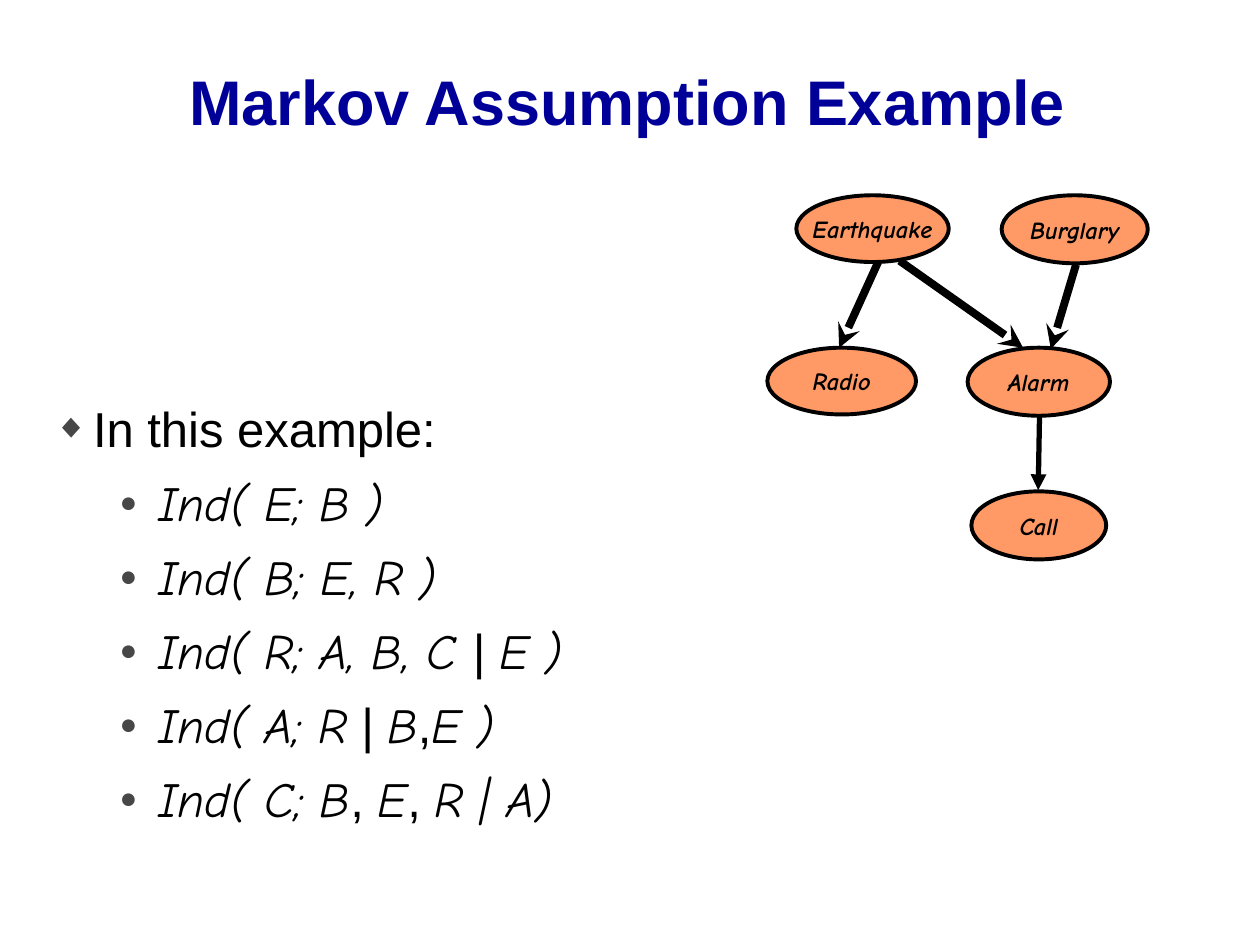
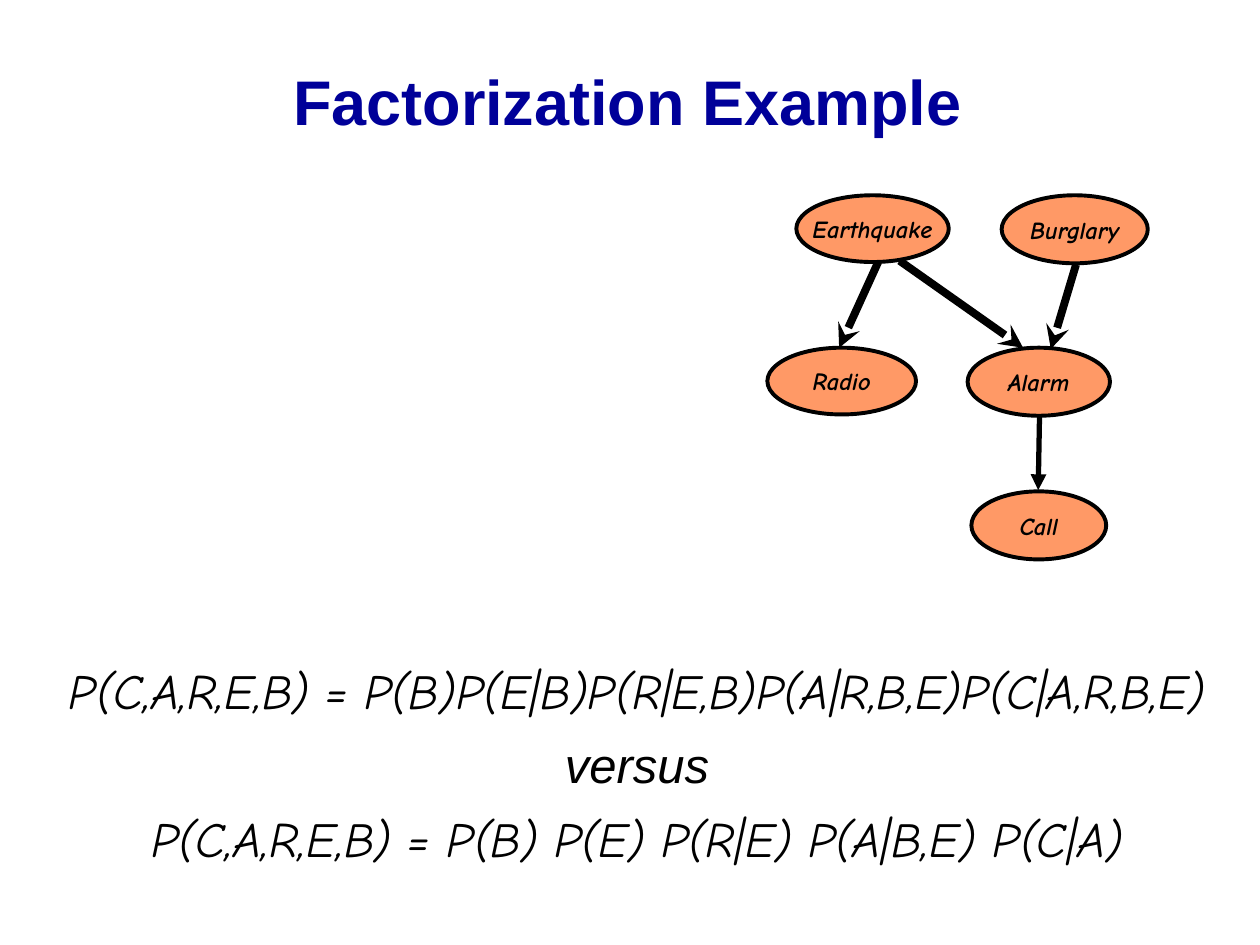
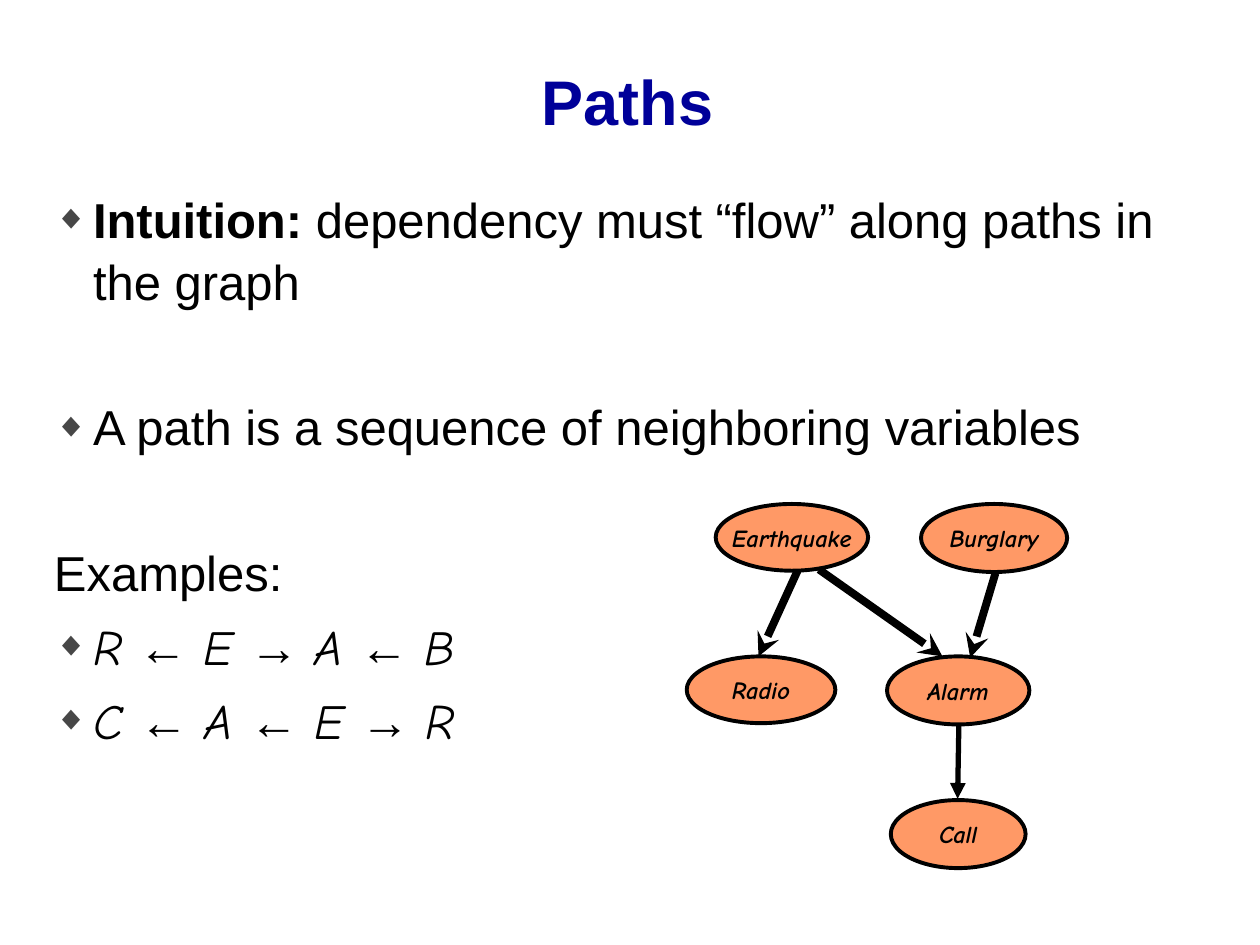
from lxml import etree
from pptx import Presentation
from pptx.dml.color import RGBColor
from pptx.enum import shapes, text
from pptx.oxml import ns
from pptx.util import Inches, Pt

NAVY = RGBColor(0x00, 0x00, 0x99)
BLACK = RGBColor(0x00, 0x00, 0x00)
ORANGE = RGBColor(0xFF, 0x99, 0x66)
GREY = RGBColor(0x47, 0x47, 0x47)

# Run styles: font, bold, italic
PLAIN = ("Arial", False, False)
BOLD = ("Arial", True, False)
SLANT = ("Arial", False, True)
MATH = ("Comic Neue", False, True)
LABEL = ("Comic Neue", True, True)

# Paragraph kinds: left indent, bullet, bullet size in percent
TOP = (0.31, "◆", 70)
SUB = (0.83, "●", 60)
BARE = (0.31, None, None)
HANG = -0.31
GAP = 7
WIDE = 48  # space before a paragraph that starts a new block

# Nodes: left, top, width, height within the graph
NODES = {
    "Earthquake": (0.23, 0, 1.21, 0.53),
    "Radio": (0, 1.21, 1.18, 0.53),
    "Burglary": (1.86, 0, 1.16, 0.54),
    "Alarm": (1.59, 1.21, 1.13, 0.54),
    "Call": (1.62, 2.35, 1.07, 0.54),
}
# Edges: start, end, line width, arrowhead
EDGES = [
    ((0.88, 0.53), (0.57, 1.21), 4.5, "stealth"),
    ((1.05, 0.52), (2.03, 1.21), 4.5, "stealth"),
    ((2.45, 0.55), (2.25, 1.22), 4.5, "stealth"),
    ((2.16, 1.76), (2.15, 2.34), 3, "triangle"),
]


def add_sub(parent, tag, **attrs):
    return etree.SubElement(parent, ns.qn(tag), attrs)


def add_run(para, words, style, size, color=BLACK):
    run = para.add_run()
    run.text = words
    font = run.font
    font.name, font.bold, font.italic = style
    font.size = Pt(size)
    font.color.rgb = color


def set_indent(para, kind):
    """Give the paragraph its hanging indent and its bullet, if any."""
    left, mark, size = kind
    props = para._p.get_or_add_pPr()
    props.set("marL", str(Inches(left)))
    props.set("indent", str(Inches(HANG)))
    if mark:
        add_sub(add_sub(props, "a:buClr"), "a:srgbClr", val=str(GREY))
        add_sub(props, "a:buSzPct", val=str(size * 1000))
        add_sub(props, "a:buFont", typeface="Arial")
        add_sub(props, "a:buChar", char=mark)
    else:
        add_sub(props, "a:buNone")


def add_frame(slide, box):
    frame = slide.shapes.add_textbox(*map(Inches, box)).text_frame
    frame.word_wrap = True
    return frame


def add_title(slide, words):
    frame = add_frame(slide, (0.38, 0.17, 9.2, 1.25))
    frame.vertical_anchor = text.MSO_ANCHOR.MIDDLE
    para = frame.paragraphs[0]
    para.alignment = text.PP_ALIGN.CENTER
    add_run(para, words, BOLD, 36, NAVY)


def add_body(slide, box, paras, align=text.PP_ALIGN.LEFT):
    """Fill a box with paragraphs, each a kind, a space before and its runs."""
    frame = add_frame(slide, box)
    for idx, (kind, gap, runs) in enumerate(paras):
        para = frame.paragraphs[0] if idx == 0 else frame.add_paragraph()
        set_indent(para, kind)
        para.alignment = align
        para.line_spacing = 1.05
        if idx:
            para.space_before = Pt(gap)
        for words, style in runs:
            add_run(para, words, style, 28)


def add_node(group, box, name):
    node = group.shapes.add_shape(shapes.MSO_SHAPE.OVAL, *map(Inches, box))
    node.shadow.inherit = False
    node.fill.solid()
    node.fill.fore_color.rgb = ORANGE
    node.line.color.rgb = BLACK
    node.line.width = Pt(2.25)
    frame = node.text_frame
    frame.word_wrap = False
    frame.vertical_anchor = text.MSO_ANCHOR.MIDDLE
    para = frame.paragraphs[0]
    para.alignment = text.PP_ALIGN.CENTER
    add_run(para, name, LABEL, 14)


def add_edge(group, start, end, width, head):
    edge = group.shapes.add_connector(
        shapes.MSO_CONNECTOR.STRAIGHT, *map(Inches, start + end))
    edge.line.color.rgb = BLACK
    edge.line.width = Pt(width)
    add_sub(edge.line._get_or_add_ln(), "a:tailEnd", type=head)
    add_sub(edge._element.spPr, "a:effectLst")


def add_graph(slide, left, top):
    """Draw the alarm network with its corner at the given place."""
    group = slide.shapes.add_group_shape()
    for name, (x, y, width, height) in NODES.items():
        add_node(group, (left + x, top + y, width, height), name)
    for start, end, width, head in EDGES:
        ends = [(left + x, top + y) for x, y in (start, end)]
        add_edge(group, *ends, width, head)


def add_markov(slide):
    add_title(slide, "Markov Assumption Example")
    claims = [
        [("Ind( E; B )", MATH)],
        [("Ind( B; E, R )", MATH)],
        [("Ind( R; A, B, C ", MATH), ("| ", PLAIN), ("E )", MATH)],
        [("Ind( A; R", MATH), (" | ", PLAIN), ("B", MATH), (",", PLAIN),
         ("E )", MATH)],
        [("Ind( C; B", MATH), (", ", PLAIN), ("E", MATH), (", ", PLAIN),
         ("R | A)", MATH)],
    ]
    paras = [(TOP, 0, [("In this example:", PLAIN)])]
    paras += [(SUB, GAP, runs) for runs in claims]
    add_body(slide, (0.33, 3.09, 8.35, 3.93), paras)
    add_graph(slide, 6.09, 1.55)


def add_factors(slide):
    add_title(slide, "Factorization Example")
    lines = [
        ("P(C,A,R,E,B) = P(B)P(E|B)P(R|E,B)P(A|R,B,E)P(C|A,R,B,E)", MATH),
        ("versus", SLANT),
        ("P(C,A,R,E,B) = P(B) P(E) P(R|E) P(A|B,E) P(C|A)", MATH),
    ]
    add_body(slide, (0.33, 5.17, 9.45, 1.85),
             [(BARE, GAP, [line]) for line in lines], text.PP_ALIGN.CENTER)
    add_graph(slide, 6.09, 1.55)


def chain(words):
    """Split a path into runs, with arrows in the plain slanted font."""
    first, *rest = words.split()
    runs = [(first + " ", MATH)]
    for arrow, name in zip(rest[::2], rest[1::2]):
        runs += [(arrow, SLANT), (f" {name} ", MATH)]
    runs[-1] = (runs[-1][0].rstrip(), MATH)
    return runs


def add_paths(slide):
    add_title(slide, "Paths")
    add_body(slide, (0.33, 1.43, 9.45, 5.59), [
        (TOP, 0, [("Intuition:", BOLD),
                  (" dependency must “flow” along paths in the graph", PLAIN)]),
        (TOP, WIDE, [("A path is a sequence of neighboring variables", PLAIN)]),
        (BARE, WIDE, [("Examples:", PLAIN)]),
        (TOP, GAP, chain("R ← E → A ← B")),
        (TOP, GAP, chain("C ← A ← E → R")),
    ])
    add_graph(slide, 5.45, 4)


def main():
    deck = Presentation()
    deck.slide_width, deck.slide_height = Inches(10), Inches(7.5)
    for build in (add_markov, add_factors, add_paths):
        build(deck.slides.add_slide(deck.slide_layouts[6]))
    deck.save("out.pptx")


if __name__ == "__main__":
    main()
